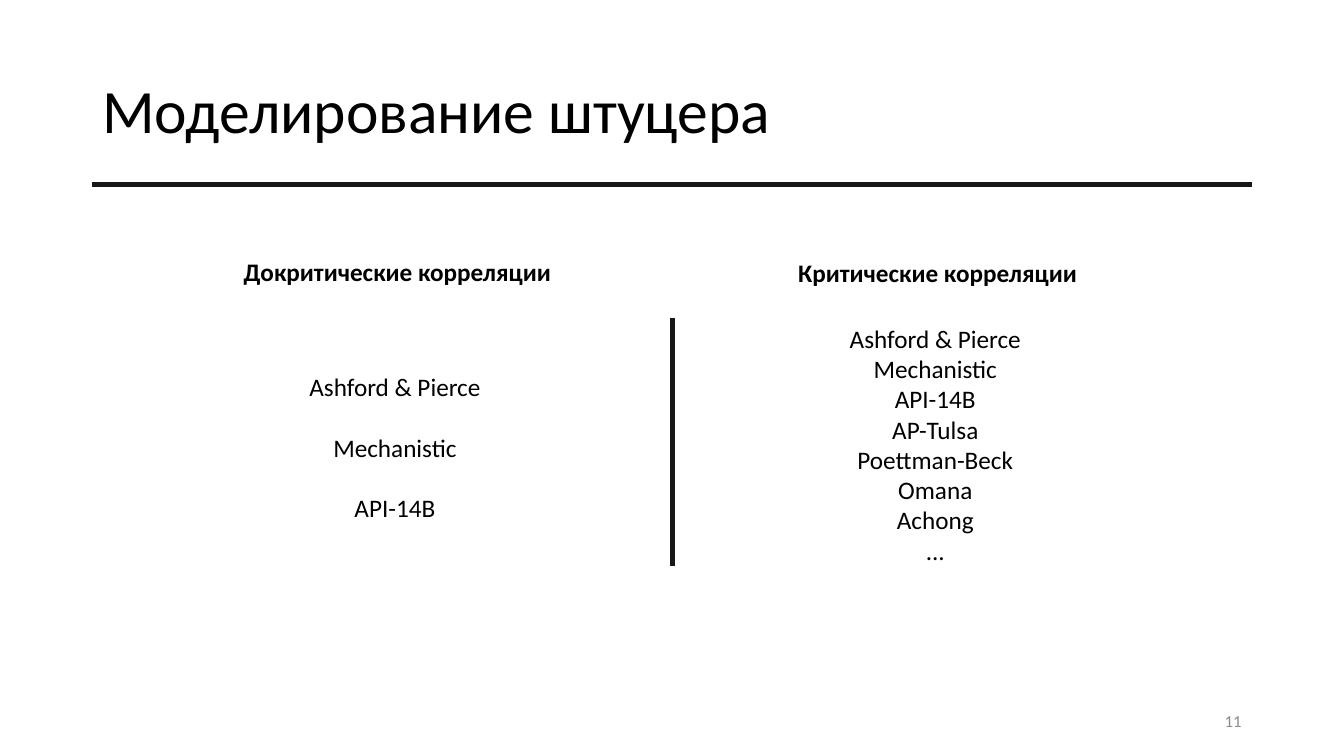
from lxml.etree import SubElement
from pptx import Presentation
from pptx.dml.color import RGBColor
from pptx.enum.shapes import MSO_CONNECTOR
from pptx.enum.text import MSO_ANCHOR, PP_ALIGN
from pptx.oxml.ns import qn
from pptx.util import Pt

TITLE = "Моделирование штуцера"
PAGE_NUMBER = "11"
HEADINGS = [
    ("Докритические корреляции", (167, 179.3, 236.2, 29)),
    ("Критические корреляции", (563, 180.5, 215.3, 29)),
]
LISTS = [
    (["Ashford & Pierce", "Mechanistic", "API-14B"],
     (213, 262, 138.2, 116.6), 21.6),
    (["Ashford & Pierce", "Mechanistic", "API-14B", "AP-Tulsa",
      "Poettman-Beck", "Omana", "Achong", "..."],
     (599, 227.3, 138.2, 181.4), 0),
]
RULES = [(65.5, 131.8, 894.2, 131.8), (480.2, 227.5, 480.2, 404.6)]


def color(target, value):
    target.rgb = RGBColor.from_string(value)


def add_text(page, lines, frame, size, align=PP_ALIGN.LEFT, anchor=MSO_ANCHOR.TOP,
             wrap=False, bold=False, shade="000000", gap=0, spacing=None):
    box = page.shapes.add_textbox(*map(Pt, frame))
    text = box.text_frame
    text.word_wrap = wrap
    text.vertical_anchor = anchor
    text.text = "\n".join(lines)
    for index, para in enumerate(text.paragraphs):
        para.alignment = align
        if spacing:
            para.line_spacing = spacing
        if index and gap:
            para.space_before = Pt(gap)
        for span in para.runs:
            span.font.name = "Calibri"
            span.font.size = Pt(size)
            span.font.bold = bold
            color(span.font.color, shade)


def add_rule(page, ends):
    rule = page.shapes.add_connector(MSO_CONNECTOR.STRAIGHT, *map(Pt, ends))
    rule.line.width = Pt(3.75)
    color(rule.line.color, "181717")
    SubElement(rule._element.spPr, qn("a:effectLst"))


def main():
    """Build the choke modelling slide with two columns of correlations."""
    deck = Presentation()
    deck.slide_width, deck.slide_height = Pt(960), Pt(540)
    page = deck.slides.add_slide(deck.slide_layouts[6])
    add_text(page, [TITLE], (66, 28.75, 828, 104.4), 44,
             anchor=MSO_ANCHOR.MIDDLE, wrap=True, spacing=0.9)
    add_text(page, [PAGE_NUMBER], (678, 500.5, 216, 28.75), 12, PP_ALIGN.RIGHT,
             MSO_ANCHOR.MIDDLE, wrap=True, shade="8C8C8C")
    for heading, frame in HEADINGS:
        add_text(page, [heading], frame, 18, bold=True)
    for names, frame, gap in LISTS:
        add_text(page, names, frame, 18, PP_ALIGN.CENTER, gap=gap)
    for ends in RULES:
        add_rule(page, ends)
    deck.save("out.pptx")


if __name__ == "__main__":
    main()
